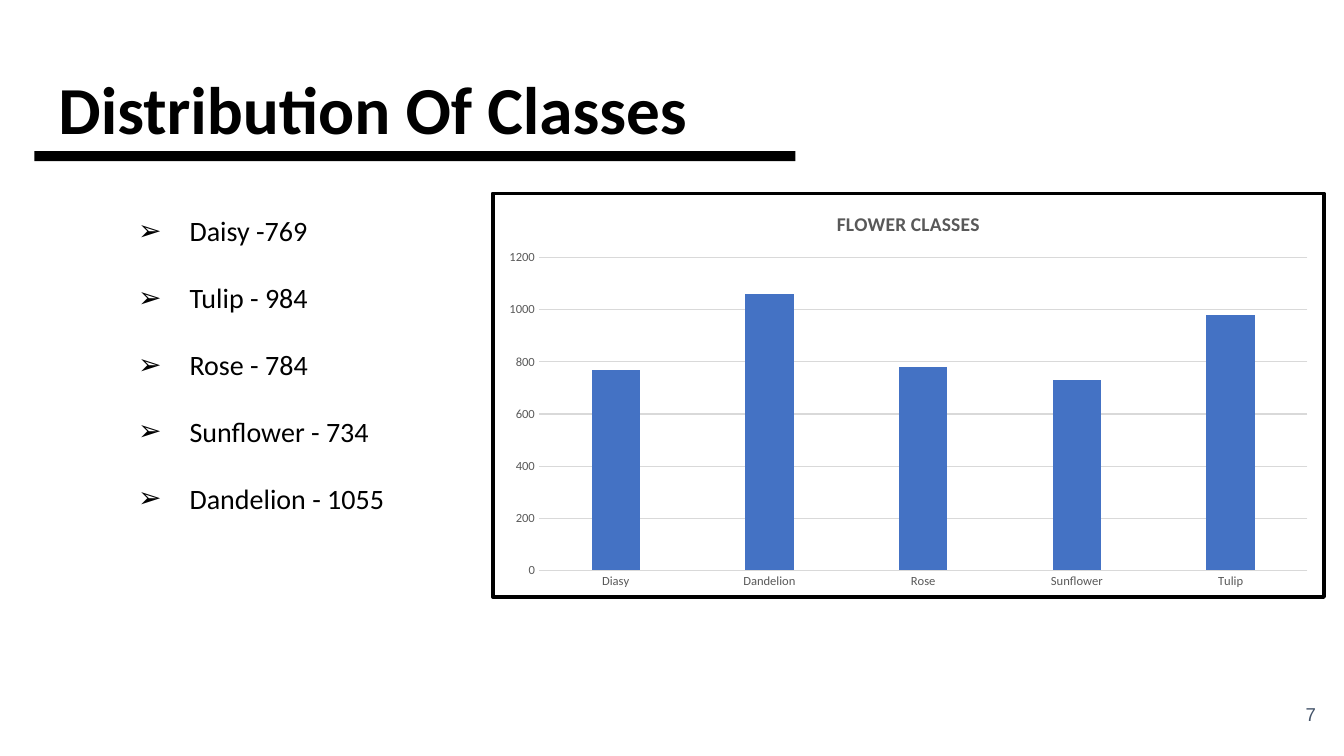
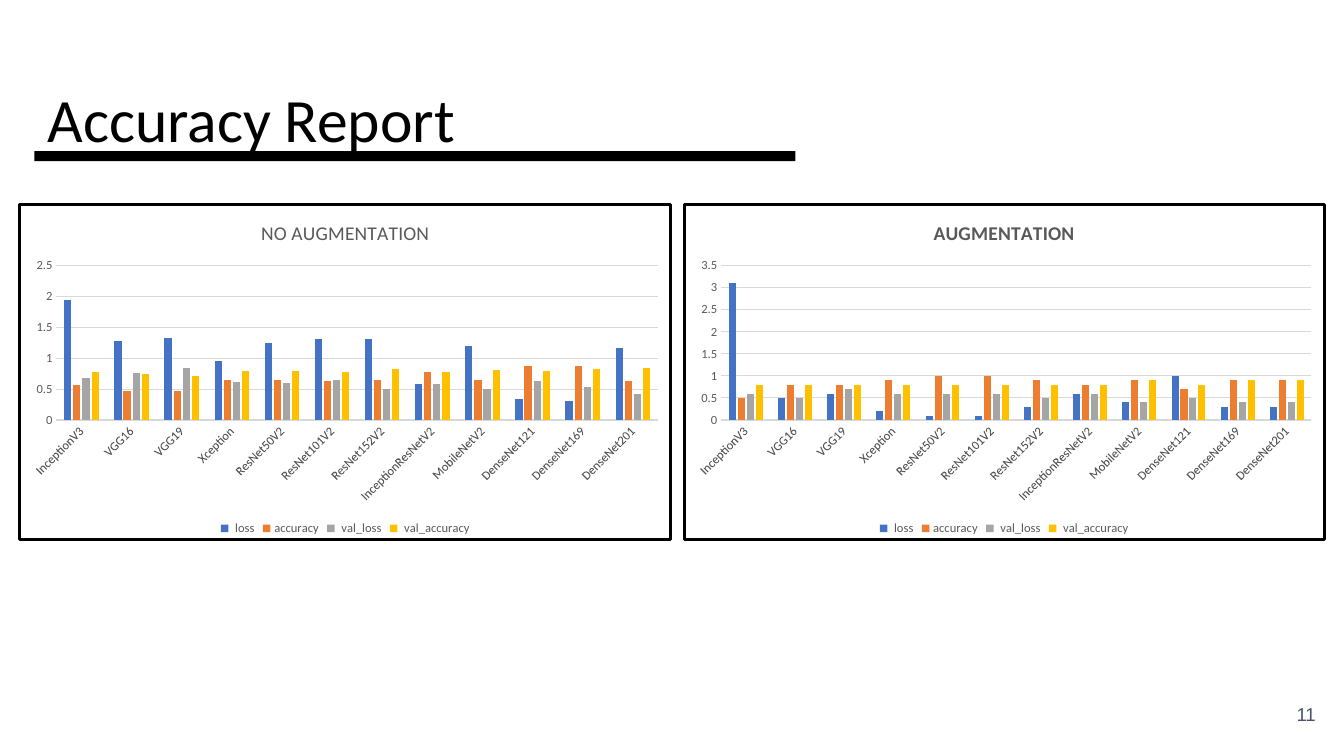
from lxml import etree
from pptx import Presentation
from pptx.chart.data import CategoryChartData
from pptx.dml.color import RGBColor
from pptx.enum.chart import XL_CHART_TYPE, XL_LEGEND_POSITION, XL_TICK_MARK
from pptx.enum.shapes import MSO_SHAPE
from pptx.enum.text import MSO_ANCHOR, MSO_AUTO_SIZE, PP_ALIGN
from pptx.oxml import parse_xml
from pptx.oxml.ns import nsdecls, qn
from pptx.util import Inches, Pt

COLUMNS = XL_CHART_TYPE.COLUMN_CLUSTERED
LEGEND_BOTTOM = XL_LEGEND_POSITION.BOTTOM
NO_TICK = XL_TICK_MARK.NONE
RECTANGLE = MSO_SHAPE.RECTANGLE
TOP, MIDDLE = MSO_ANCHOR.TOP, MSO_ANCHOR.MIDDLE
LEFT, RIGHT = PP_ALIGN.LEFT, PP_ALIGN.RIGHT
NO_AUTOFIT = MSO_AUTO_SIZE.NONE
LAYOUT_CONTENT, LAYOUT_TITLE_ONLY = 1, 5

BLACK, WHITE, SLATE, GRAY, GRID = "000000", "FFFFFF", "44546A", "595959", "D9D9D9"
SERIES_COLORS = ["4472C4", "ED7D31", "A5A5A5", "FFC000"]
FONT = "Calibri"

# Content
FLOWER_LIST = ["Daisy -769", "Tulip - 984", "Rose - 784", "Sunflower - 734", "Dandelion - 1055"]
FLOWER_CHART = {
    "title": "FLOWER CLASSES", "bold": True, "border": 2.5, "maximum": 1200, "unit": 200,
    "categories": ["Diasy", "Dandelion", "Rose", "Sunflower", "Tulip"],
    "series": [("Series 1", [770, 1060, 780, 730, 980])],
}
MODELS = ["InceptionV3", "VGG16", "VGG19", "Xception", "ResNet50V2", "ResNet101V2",
          "ResNet152V2", "InceptionResNetV2", "MobileNetV2", "DenseNet121",
          "DenseNet169", "DenseNet201"]
PLAIN_CHART = {
    "title": "NO AUGMENTATION", "bold": False, "border": 2.25, "maximum": 2.5, "unit": 0.5,
    "categories": MODELS,
    "series": [
        (" loss", [1.95, 1.28, 1.33, 0.96, 1.25, 1.32, 1.32, 0.59, 1.2, 0.34, 0.3, 1.17]),
        ("accuracy", [0.57, 0.47, 0.47, 0.65, 0.65, 0.63, 0.64, 0.78, 0.64, 0.88, 0.88, 0.63]),
        (" val_loss", [0.68, 0.76, 0.84, 0.62, 0.6, 0.65, 0.5, 0.58, 0.5, 0.63, 0.54, 0.42]),
        (" val_accuracy", [0.78, 0.74, 0.71, 0.79, 0.79, 0.77, 0.82, 0.78, 0.81, 0.8, 0.83, 0.84]),
    ],
}
AUGMENTED_CHART = {
    "title": "AUGMENTATION", "bold": True, "border": 2.25, "maximum": 3.5, "unit": 0.5,
    "categories": MODELS,
    "series": [
        (" loss", [3.1, 0.5, 0.6, 0.2, 0.1, 0.1, 0.3, 0.6, 0.4, 1, 0.3, 0.3]),
        ("accuracy", [0.5, 0.8, 0.8, 0.9, 1, 1, 0.9, 0.8, 0.9, 0.7, 0.9, 0.9]),
        (" val_loss", [0.6, 0.5, 0.7, 0.6, 0.6, 0.6, 0.5, 0.6, 0.4, 0.5, 0.4, 0.4]),
        (" val_accuracy", [0.8, 0.8, 0.8, 0.8, 0.8, 0.8, 0.8, 0.8, 0.9, 0.8, 0.9, 0.9]),
    ],
}
SLIDES = [
    {"layout": LAYOUT_CONTENT, "title": "Distribution Of Classes", "title_at": (0.45, 0.54),
     "size": 48, "bold": True, "number": "7", "bullets": FLOWER_LIST,
     "charts": [(FLOWER_CHART, (4.87, 1.9, 8.28, 4.04))]},
    {"layout": LAYOUT_TITLE_ONLY, "title": "Accuracy Report", "title_at": (0.34, 0.67),
     "size": 44, "bold": False, "number": "11", "bullets": [],
     "charts": [(PLAIN_CHART, (0.18, 2.01, 6.49, 3.36)),
                (AUGMENTED_CHART, (6.77, 2.01, 6.38, 3.36))]},
]


def color(value):
    return RGBColor.from_string(value)


def style_font(font, size, fill, bold=False, name=FONT):
    font.name, font.size, font.bold = name, Pt(size), bold
    font.color.rgb = color(fill)


def place(shape, left, top, width, height):
    shape.left, shape.top = Inches(left), Inches(top)
    shape.width, shape.height = Inches(width), Inches(height)


def set_frame(frame, inset, anchor):
    frame.word_wrap = True
    frame.auto_size = NO_AUTOFIT
    frame.vertical_anchor = anchor
    frame.margin_left = frame.margin_right = Inches(inset)
    frame.margin_top = frame.margin_bottom = Inches(inset)


def add_frame_parts(slide, content):
    # Underline bar
    bar = slide.shapes.add_shape(RECTANGLE, Inches(0.34), Inches(1.5), Inches(7.55), Inches(0.1))
    bar.shadow.inherit = False
    bar.fill.solid()
    bar.fill.fore_color.rgb = color(BLACK)
    bar.line.fill.background()

    # Title
    title = slide.shapes.title
    place(title, *content["title_at"], 12.42, 0.84)
    set_frame(title.text_frame, 0.13, TOP)
    title.text_frame.text = content["title"]
    paragraph = title.text_frame.paragraphs[0]
    paragraph.alignment = LEFT
    style_font(paragraph.runs[0].font, content["size"], BLACK, content["bold"])

    # Slide number
    number = slide.shapes.add_textbox(Inches(12.35), Inches(6.8), Inches(0.8), Inches(0.57))
    set_frame(number.text_frame, 0.1, MIDDLE)
    number.text_frame.text = content["number"]
    paragraph = number.text_frame.paragraphs[0]
    paragraph.alignment = RIGHT
    style_font(paragraph.runs[0].font, 13.3, SLATE, name="Arial")


def add_bullets(slide, items):
    body = slide.placeholders[1]
    place(body, 0.45, 1.68, 12.42, 4.98)
    frame = body.text_frame
    set_frame(frame, 0.1, TOP)
    frame.margin_top = Inches(0.44)
    frame.text = "\n".join(items)
    for paragraph in frame.paragraphs:
        paragraph.level = 1
        paragraph.alignment = LEFT
        paragraph.space_before, paragraph.space_after = Pt(0), Pt(23.8)
        style_font(paragraph.runs[0].font, 20, BLACK)
        properties = paragraph._p.get_or_add_pPr()
        properties.set("marL", str(Inches(1.33)))
        properties.set("indent", str(-Inches(0.51)))
        bullet_color = etree.SubElement(properties, qn("a:buClr"))
        etree.SubElement(bullet_color, qn("a:srgbClr"), val=BLACK)
        etree.SubElement(properties, qn("a:buFont"), typeface="Arial")
        etree.SubElement(properties, qn("a:buChar"), char="➢")


def add_column_chart(slide, content, box):
    data = CategoryChartData()
    data.categories = content["categories"]
    for name, values in content["series"]:
        data.add_series(name, values)
    chart = slide.shapes.add_chart(COLUMNS, *map(Inches, box), data).chart
    style_font(chart.font, 10, BLACK)

    # Title and legend
    chart.has_title = True
    chart.chart_title.text_frame.text = content["title"]
    title_run = chart.chart_title.text_frame.paragraphs[0].runs[0]
    style_font(title_run.font, 14, GRAY, content["bold"])
    several = len(content["series"]) > 1
    chart.has_legend = several
    if several:
        chart.legend.position = LEGEND_BOTTOM
        chart.legend.include_in_layout = False
        style_font(chart.legend.font, 9, GRAY)

    # Columns
    plot = chart.plots[0]
    plot.vary_by_categories = False
    plot.gap_width, plot.overlap = 219, -27
    for series, fill in zip(plot.series, SERIES_COLORS):
        series.format.fill.solid()
        series.format.fill.fore_color.rgb = color(fill)

    # Axes
    category_axis, value_axis = chart.category_axis, chart.value_axis
    for axis in (category_axis, value_axis):
        axis.major_tick_mark = axis.minor_tick_mark = NO_TICK
        style_font(axis.tick_labels.font, 9, GRAY)
    value_axis.minimum_scale, value_axis.maximum_scale = 0, content["maximum"]
    value_axis.major_unit = content["unit"]
    value_axis.format.line.fill.background()
    for line in (category_axis.format.line, value_axis.major_gridlines.format.line):
        line.color.rgb = color(GRID)
        line.width = Pt(0.75)
    chart_space = chart.element
    if several:
        label_body = chart_space.xpath(".//c:catAx/c:txPr/a:bodyPr")[0]
        label_body.set("rot", "-2700000")

    # Chart area fill and border
    chart_space.find(qn("c:chart")).addnext(parse_xml(
        f'<c:spPr {nsdecls("c", "a")}>'
        f'<a:solidFill><a:srgbClr val="{WHITE}"/></a:solidFill>'
        f'<a:ln w="{Pt(content["border"])}"><a:solidFill><a:srgbClr val="{BLACK}"/>'
        '</a:solidFill><a:round/></a:ln></c:spPr>'))


def main():
    presentation = Presentation()
    presentation.slide_width, presentation.slide_height = Inches(13.33), Inches(7.5)
    for content in SLIDES:
        slide = presentation.slides.add_slide(presentation.slide_layouts[content["layout"]])
        add_frame_parts(slide, content)
        if content["bullets"]:
            add_bullets(slide, content["bullets"])
        for chart_content, box in content["charts"]:
            add_column_chart(slide, chart_content, box)
    presentation.save("out.pptx")


if __name__ == "__main__":
    main()
